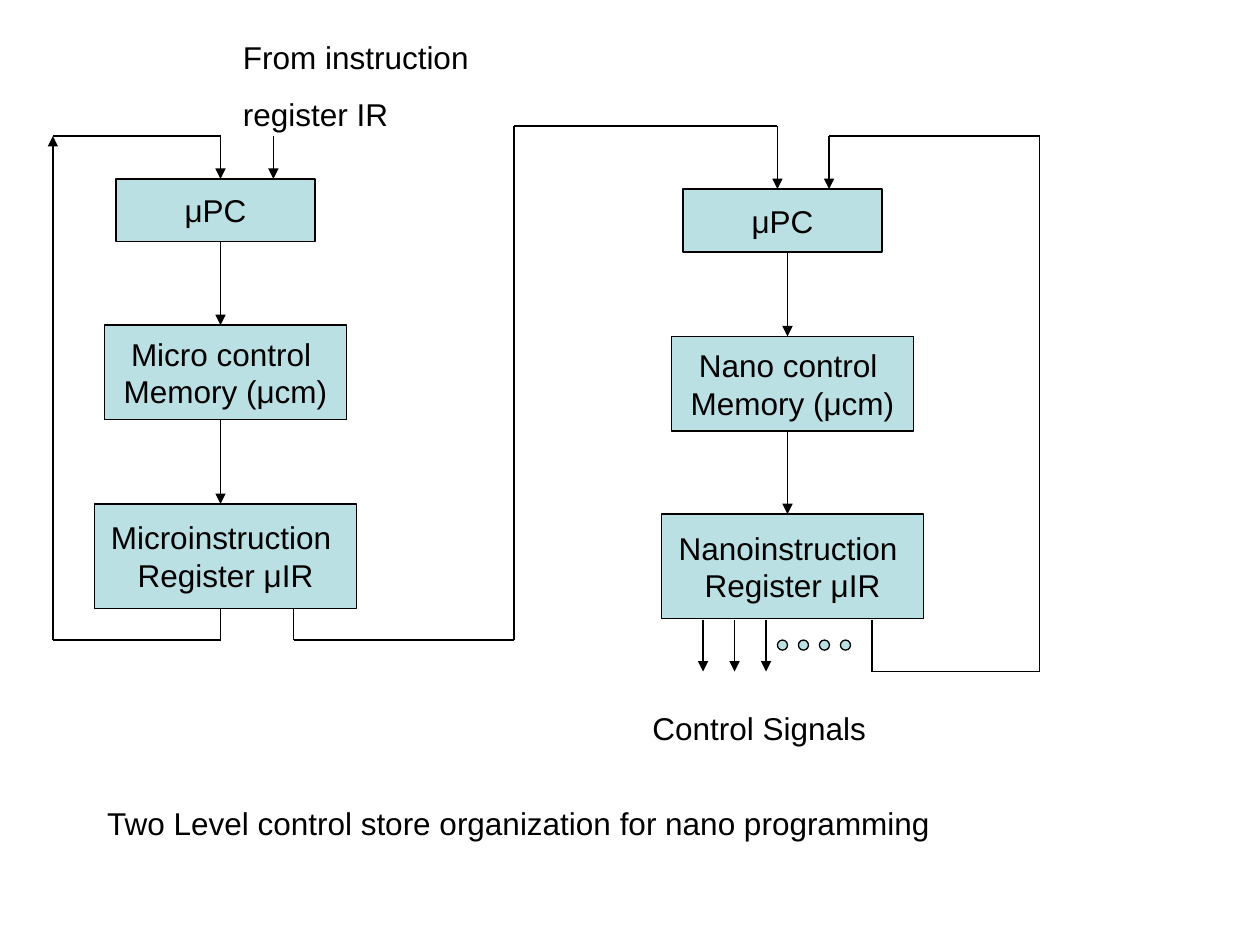
from dataclasses import dataclass
from itertools import pairwise

import pptx
import pptx.dml.color
import pptx.enum.shapes
import pptx.enum.text
import pptx.oxml
import pptx.oxml.ns
import pptx.util

Inches = pptx.util.Inches
Pt = pptx.util.Pt
Align = pptx.enum.text.PP_ALIGN
Anchor = pptx.enum.text.MSO_ANCHOR
Shape = pptx.enum.shapes.MSO_SHAPE

BLACK = pptx.dml.color.RGBColor(0x00, 0x00, 0x00)
TEAL = pptx.dml.color.RGBColor(0xBB, 0xE0, 0xE3)
WHITE = pptx.dml.color.RGBColor(0xFF, 0xFF, 0xFF)
FONT = {"name": "Arial", "size": Pt(18), "bold": False}
LINE_WIDTH = Pt(0.75)


@dataclass(frozen=True)
class Block:
    left: float
    top: float
    width: float
    height: float
    lines: tuple[str, ...]


@dataclass(frozen=True)
class Route:
    """A path of straight segments, with an arrowhead at its last point if asked."""
    points: tuple[tuple[float, float], ...]
    arrow: bool = True


@dataclass(frozen=True)
class Label:
    left: float
    top: float
    width: float
    height: float
    lines: tuple[str, ...]


MICRO = (
    Block(0.92, 1.42, 1.58, 0.5, ("μPC",)),
    Block(0.83, 2.58, 1.92, 0.75, ("Micro control ", "Memory (μcm)")),
    Block(0.75, 4, 2.08, 0.83, ("Microinstruction ", "Register μIR")),
)
NANO = (
    Block(5.42, 1.5, 1.58, 0.5, ("μPC",)),
    Block(5.33, 2.67, 1.92, 0.75, ("Nano control ", "Memory (μcm)")),
    Block(5.25, 4.08, 2.08, 0.83, ("Nanoinstruction ", "Register μIR")),
)
MICRO_AXIS, NANO_AXIS = 1.75, 6.25

ROUTES = (
    # Micro register back to the micro program counter
    Route(((1.75, 4.83), (1.75, 5.08), (0.42, 5.08), (0.42, 1.08))),
    Route(((0.42, 1.08), (1.75, 1.08), (1.75, 1.42))),
    # Instruction register to the micro program counter
    Route(((2.17, 1.08), (2.17, 1.42))),
    # Micro register to the nano program counter
    Route(((2.33, 4.83), (2.33, 5.08), (4.08, 5.08), (4.08, 1), (6.17, 1), (6.17, 1.5))),
    # Nano register back to the nano program counter
    Route(((6.92, 4.92), (6.92, 5.33), (8.25, 5.33), (8.25, 1.08), (6.58, 1.08), (6.58, 1.5))),
)
SIGNALS = tuple(Route(((5.58 + 0.25 * i, 4.92), (5.58 + 0.25 * i, 5.33))) for i in range(3))

LABELS = (
    Label(1.83, 0.25, 2.33, 0.86, ("From instruction", "register IR")),
    Label(5.08, 5.58, 2.33, 0.4, ("Control Signals",)),
)
CAPTION = Label(0.75, 6.33, 8.42, 0.4,
                ("Two Level control store organization for nano programming",))


def write_lines(tf, lines: tuple[str, ...], align: Align, gap: float = 0) -> None:
    for i, text in enumerate(lines):
        p = tf.paragraphs[0] if i == 0 else tf.add_paragraph()
        p.alignment = align
        p.space_before = Pt(gap if i else 0)
        r = p.add_run()
        r.text = text
        for key, value in FONT.items():
            setattr(r.font, key, value)
        r.font.color.rgb = BLACK


def add_outlined(slide, kind: Shape, left: float, top: float, width: float, height: float):
    sp = slide.shapes.add_shape(kind, *map(Inches, (left, top, width, height)))
    sp.shadow.inherit = False
    sp.fill.solid()
    sp.fill.fore_color.rgb = TEAL
    sp.line.color.rgb = BLACK
    sp.line.width = LINE_WIDTH
    return sp


def add_block(slide, block: Block) -> None:
    sp = add_outlined(slide, Shape.RECTANGLE, block.left, block.top, block.width, block.height)
    tf = sp.text_frame
    tf.word_wrap = False
    tf.vertical_anchor = Anchor.MIDDLE
    write_lines(tf, block.lines, Align.CENTER)


def add_route(slide, route: Route) -> None:
    for start, end in pairwise(route.points):
        line = slide.shapes.add_connector(
            pptx.enum.shapes.MSO_CONNECTOR.STRAIGHT, *map(Inches, (*start, *end)))
        line.line.color.rgb = BLACK
        line.line.width = LINE_WIDTH
        props = line.line._get_or_add_ln()
        if route.arrow and end == route.points[-1]:
            props.append(pptx.oxml.parse_xml(
                f'<a:tailEnd {pptx.oxml.ns.nsdecls("a")} type="triangle"/>'))
        props.getparent().append(pptx.oxml.parse_xml(
            f'<a:effectLst {pptx.oxml.ns.nsdecls("a")}/>'))


def fill_label(sp, label: Label) -> None:
    sp.left, sp.top, sp.width, sp.height = map(
        Inches, (label.left, label.top, label.width, label.height))
    tf = sp.text_frame
    tf.word_wrap = True
    tf.auto_size = pptx.enum.text.MSO_AUTO_SIZE.NONE
    tf.vertical_anchor = Anchor.TOP
    write_lines(tf, label.lines, Align.LEFT, gap=11.2)


def main() -> None:
    prs = pptx.Presentation()
    prs.slide_width, prs.slide_height = Inches(10), Inches(7.5)
    s = prs.slides.add_slide(prs.slide_layouts.get_by_name("Title Only"))
    s.background.fill.solid()
    s.background.fill.fore_color.rgb = WHITE

    for axis, column in ((MICRO_AXIS, MICRO), (NANO_AXIS, NANO)):
        for block in column:
            add_block(s, block)
        for upper, lower in pairwise(column):
            add_route(s, Route(((axis, upper.top + upper.height), (axis, lower.top))))
    for route in ROUTES + SIGNALS:
        add_route(s, route)
    for i in range(4):
        add_outlined(s, Shape.OVAL, 6.17 + i / 6, 5.08, 0.08, 0.08)
    for label in LABELS:
        fill_label(s.shapes.add_textbox(0, 0, 0, 0), label)
    fill_label(s.shapes.title, CAPTION)
    prs.save("out.pptx")


if __name__ == "__main__":
    main()
